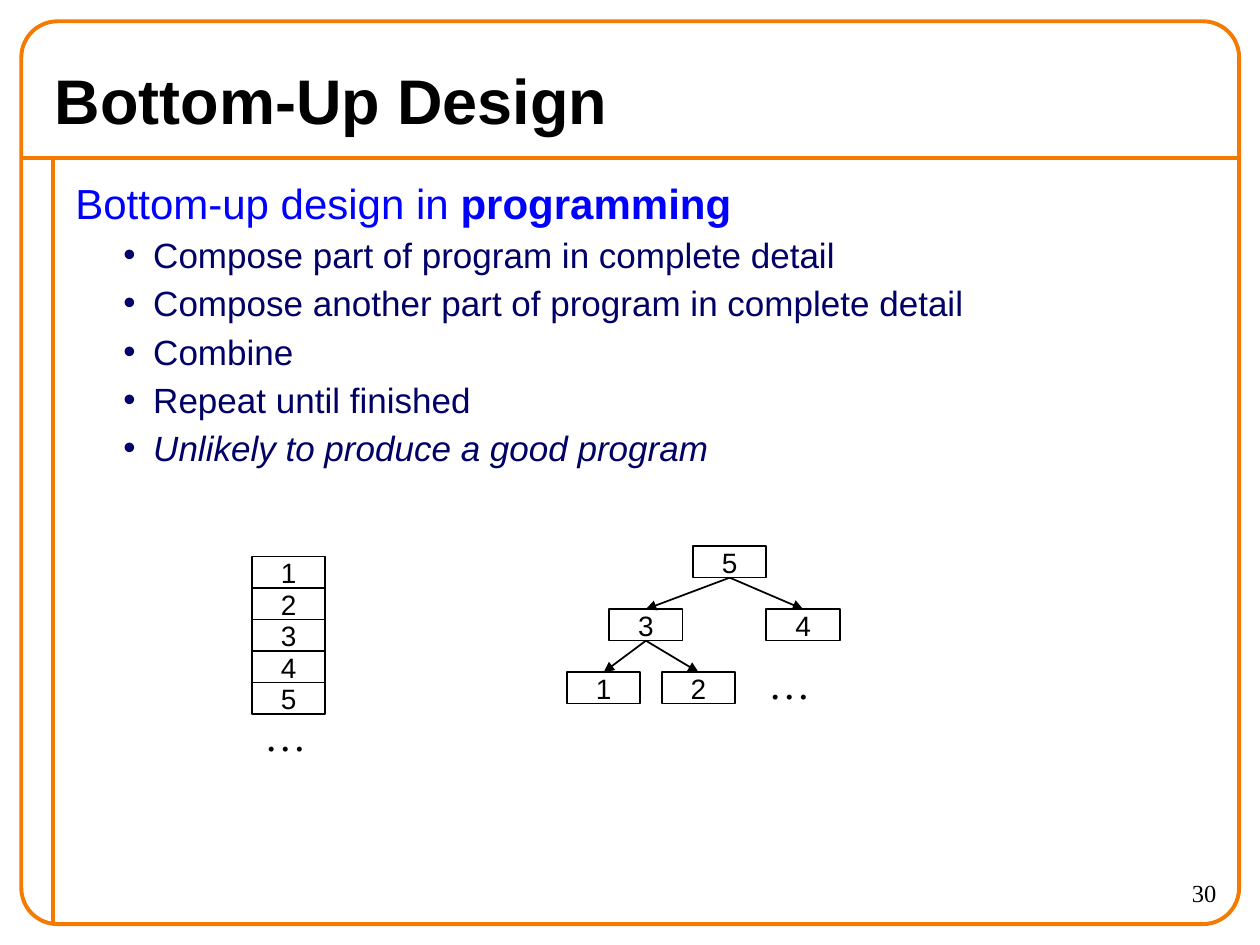
"""Build the Bottom-Up Design slide: bullets, a stack of parts and a tree of parts."""
from lxml import etree
from pptx import Presentation
from pptx.dml.color import RGBColor
from pptx.enum import shapes, text
from pptx.oxml import ns
from pptx.util import Cm, Pt

ORANGE = RGBColor(0xF4, 0x7A, 0x00)
BLACK = RGBColor(0, 0, 0)
BLUE = RGBColor(0, 0, 0xFF)
NAVY = RGBColor(0, 0, 0x66)
SANS, SERIF = "Arial", "Times New Roman"

TITLE = "Bottom-Up Design"
LEAD = ("Bottom-up design in ", "programming")
STEPS = [
    "Compose part of program in complete detail",
    "Compose another part of program in complete detail",
    "Combine",
    "Repeat until finished",
    "Unlikely to produce a good program",
]
PAGE = "30"
RULES = [(0.43, 3.18, 24.97, 3.18), (1.06, 3.18, 1.06, 18.63)]

PART_W, PART_H = 1.48, 0.635
STACK = ["1", "2", "3", "4", "5"]
STACK_LEFT, STACK_TOP = 5.08, 11.22
TREE = {"5": (13.97, 0), "3": (12.28, 1), "4": (15.45, 1), "1": (11.43, 2), "2": (13.34, 2)}
TREE_TOP, LEVEL_STEP = 11.01, 1.27
BRANCHES = [("5", "3"), ("3", "1"), ("5", "4"), ("3", "2")]
ELLIPSES = [(5.08, 14.18), (15.24, 13.13)]


def style(font, size, color, name=SANS, bold=False, italic=False):
    font.size, font.name, font.bold, font.italic = Pt(size), name, bold, italic
    font.color.rgb = color


def add_text(slide, left, top, width, height, wrap=True):
    frame = slide.shapes.add_textbox(Cm(left), Cm(top), Cm(width), Cm(height)).text_frame
    frame.word_wrap = wrap
    return frame


def add_line(slide, ends, color, width, arrow=False):
    line = slide.shapes.add_connector(shapes.MSO_CONNECTOR.STRAIGHT, *map(Cm, ends))
    line.line.color.rgb, line.line.width = color, Pt(width)
    if arrow:
        etree.SubElement(line.line._get_or_add_ln(), ns.qn("a:tailEnd"), type="triangle")
    etree.SubElement(line._element.spPr, ns.qn("a:effectLst"))
    return line


def add_outline(slide, kind, box, color, width):
    outline = slide.shapes.add_shape(kind, *map(Cm, box))
    outline.shadow.inherit = False
    outline.fill.background()
    outline.line.color.rgb, outline.line.width = color, Pt(width)
    return outline


def add_part(slide, label, left, top):
    box = (left, top, PART_W, PART_H)
    part = add_outline(slide, shapes.MSO_SHAPE.RECTANGLE, box, BLACK, 1)
    frame = part.text_frame
    frame.word_wrap = False
    frame.vertical_anchor = text.MSO_ANCHOR.MIDDLE
    frame.text = label
    frame.paragraphs[0].alignment = text.PP_ALIGN.CENTER
    style(frame.paragraphs[0].runs[0].font, 16, BLACK)
    return part


def add_frame(slide):
    for ends in RULES:
        add_line(slide, ends, ORANGE, 2.25)
    border = add_outline(slide, shapes.MSO_SHAPE.ROUNDED_RECTANGLE,
                         (0.43, 0.43, 24.55, 18.2), ORANGE, 2.25)
    border.adjustments[0] = 0.04
    page = add_text(slide, 22.23, 17.57, 2.54, 1.06)
    page.text = PAGE
    page.paragraphs[0].alignment = text.PP_ALIGN.RIGHT
    style(page.paragraphs[0].runs[0].font, 14, BLACK, SERIF)


def add_title(slide):
    title = slide.shapes.title
    title.left, title.top, title.width, title.height = map(Cm, (0.85, 1.06, 23.7, 1.9))
    title.text_frame.text = TITLE
    title.text_frame.vertical_anchor = text.MSO_ANCHOR.MIDDLE
    title.text_frame.paragraphs[0].alignment = text.PP_ALIGN.LEFT
    style(title.text_frame.paragraphs[0].runs[0].font, 36, BLACK, bold=True)


def add_bullets(slide):
    body = add_text(slide, 1.27, 3.45, 23.5, 15.18)
    lead = body.paragraphs[0]
    for words, bold in zip(LEAD, (False, True)):
        run = lead.add_run()
        run.text = words
        style(run.font, 24, BLUE, bold=bold)
    for step in STEPS:
        bullet = body.add_paragraph()
        bullet.text, bullet.level, bullet.space_before = step, 1, Pt(3.5)
        props = bullet._p.get_or_add_pPr()
        props.set("marL", str(Cm(1.57)))
        props.set("indent", str(-Cm(0.6)))
        etree.SubElement(props, ns.qn("a:buFont"), typeface=SANS)
        etree.SubElement(props, ns.qn("a:buChar"), char="•")
        style(bullet.runs[0].font, 20, NAVY, italic=step == STEPS[-1])


def add_diagrams(slide):
    for row, label in enumerate(STACK):
        add_part(slide, label, STACK_LEFT, STACK_TOP + row * PART_H)
    nodes = {label: add_part(slide, label, left, TREE_TOP + level * LEVEL_STEP)
             for label, (left, level) in TREE.items()}
    for parent, child in BRANCHES:
        branch = add_line(slide, (0, 0, 0, 0), BLACK, 1, arrow=True)
        branch.begin_connect(nodes[parent], 2)
        branch.end_connect(nodes[child], 0)
    for left, top in ELLIPSES:
        more = add_text(slide, left, top, 1.35, 1.27, wrap=False)
        more.text = "…"
        style(more.paragraphs[0].runs[0].font, 24, BLACK, SERIF)


def main():
    deck = Presentation()
    deck.slide_width, deck.slide_height = Cm(25.4), Cm(19.05)
    slide = deck.slides.add_slide(deck.slide_layouts[5])
    add_frame(slide)
    add_title(slide)
    add_bullets(slide)
    add_diagrams(slide)
    deck.save("out.pptx")


if __name__ == "__main__":
    main()
